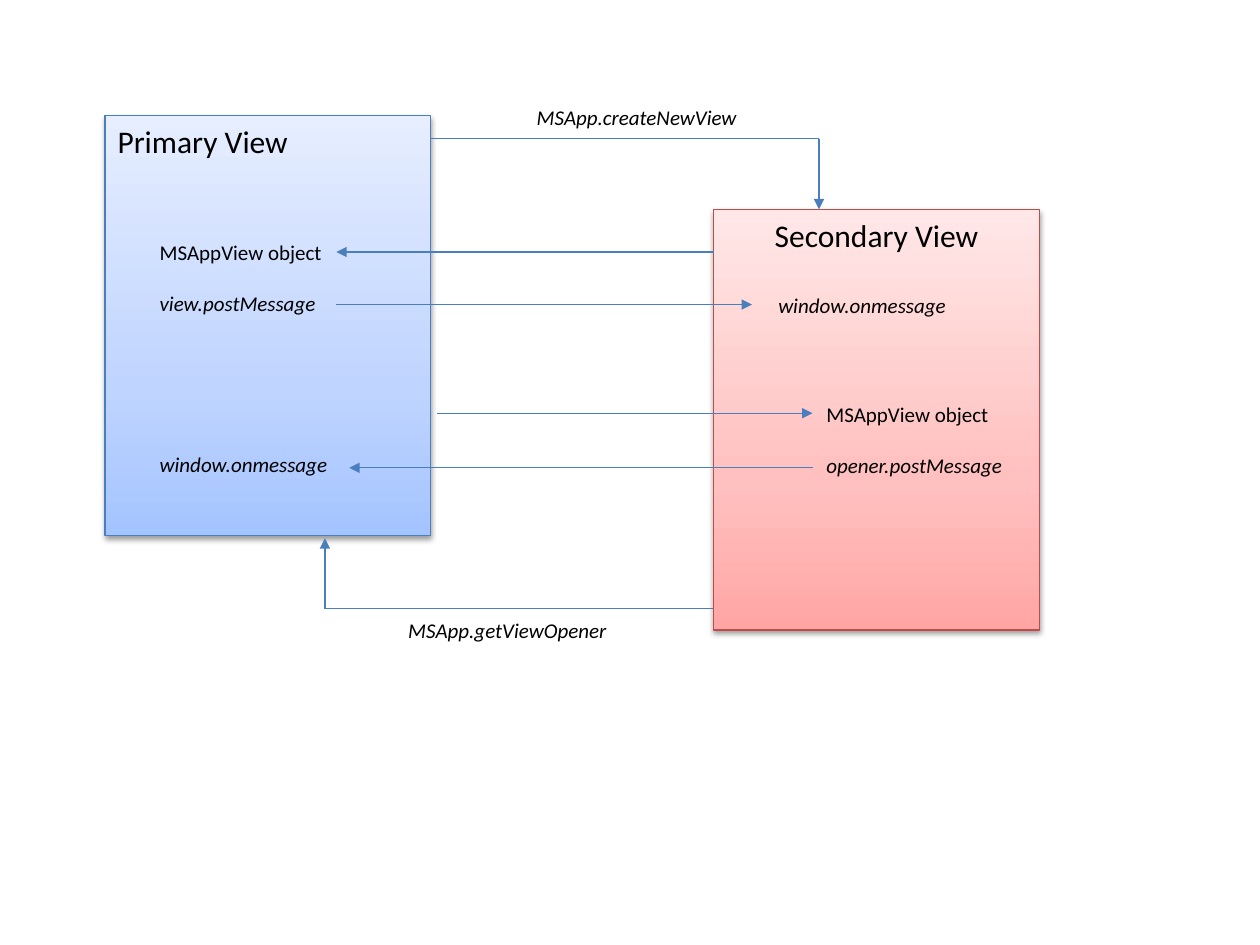
from copy import deepcopy
from dataclasses import dataclass

from lxml.etree import SubElement
from pptx import Presentation
from pptx.dml.color import RGBColor
from pptx.enum.shapes import MSO_CONNECTOR, MSO_SHAPE
from pptx.enum.text import MSO_AUTO_SIZE, PP_ALIGN
from pptx.oxml.ns import qn
from pptx.util import Cm, Pt


@dataclass(frozen=True)
class Theme:
    font: str = "Calibri"
    heading_size: int = 18
    label_size: int = 12
    text: str = "000000"
    connector: str = "4B7EBC"
    primary_line: str = "4B7EBC"
    primary_fill: tuple = ("A4C4FF", "BFD4FF", "E6EEFF")
    secondary_line: str = "BF4C48"
    secondary_fill: tuple = ("FFA6A5", "FFC0BF", "FFE7E7")
    line_width: float = 0.75


theme = Theme()
VIEW_WIDTH, VIEW_HEIGHT = 6.56, 8.47
PRIMARY_LEFT, PRIMARY_TOP = 2.12, 2.33
SECONDARY_LEFT, SECONDARY_TOP = 14.39, 4.23

presentation = Presentation()
presentation.slide_width = Cm(25.4)
presentation.slide_height = Cm(19.05)
slide = presentation.slides.add_slide(presentation.slide_layouts[6])


def add_text(left, top, width, height, lines, size, wrap=False, align=PP_ALIGN.LEFT):
    """Add a text box; lines holds (text, italic) pairs, one paragraph each."""
    box = slide.shapes.add_textbox(Cm(left), Cm(top), Cm(width), Cm(height))
    frame = box.text_frame
    frame.word_wrap = wrap
    frame.auto_size = MSO_AUTO_SIZE.SHAPE_TO_FIT_TEXT
    for index, (text, italic) in enumerate(lines):
        paragraph = frame.add_paragraph() if index else frame.paragraphs[0]
        paragraph.alignment = align
        if index:
            paragraph.space_before = Pt(14.6)
        run = paragraph.add_run()
        run.text = text
        run.font.name = theme.font
        run.font.size = Pt(size)
        run.font.italic = italic
        run.font.color.rgb = RGBColor.from_string(theme.text)


def add_line(start, end, arrow):
    """Add a straight connector, with an arrowhead at its end if asked."""
    connector = slide.shapes.add_connector(
        MSO_CONNECTOR.STRAIGHT, *(Cm(value) for value in start + end))
    connector.line.color.rgb = RGBColor.from_string(theme.connector)
    connector.line.width = Pt(theme.line_width)
    properties = connector._element.spPr
    if arrow:
        SubElement(properties.find(qn("a:ln")), qn("a:tailEnd"), type="triangle")
    SubElement(properties, qn("a:effectLst"))


# View panels: gradient fill and soft shadow below
for left, top, colors, line_color in (
    (PRIMARY_LEFT, PRIMARY_TOP, theme.primary_fill, theme.primary_line),
    (SECONDARY_LEFT, SECONDARY_TOP, theme.secondary_fill, theme.secondary_line),
):
    panel = slide.shapes.add_shape(
        MSO_SHAPE.RECTANGLE, Cm(left), Cm(top), Cm(VIEW_WIDTH), Cm(VIEW_HEIGHT))
    panel.line.color.rgb = RGBColor.from_string(line_color)
    panel.line.width = Pt(theme.line_width)
    panel.fill.gradient()
    panel.fill.gradient_angle = 90
    properties = panel._element.spPr
    stop_list = properties.find(qn("a:gradFill")).find(qn("a:gsLst"))
    stop_list.insert(1, deepcopy(stop_list[0]))
    for stop, position, color in zip(panel.fill.gradient_stops, (0, 0.35, 1), colors):
        stop.position = position
        stop.color.rgb = RGBColor.from_string(color)
    panel.shadow.inherit = False
    shadow = SubElement(properties.find(qn("a:effectLst")), qn("a:outerShdw"),
                        blurRad=str(Pt(3.1)), dist=str(Pt(1.6)),
                        dir="5400000", rotWithShape="0")
    shadow_color = SubElement(shadow, qn("a:srgbClr"), val=theme.text)
    SubElement(shadow_color, qn("a:alpha"), val="38000")

# Panel headings
for left, top, heading, align in (
    (PRIMARY_LEFT, PRIMARY_TOP, "Primary View", PP_ALIGN.LEFT),
    (SECONDARY_LEFT, SECONDARY_TOP, "Secondary View", PP_ALIGN.CENTER),
):
    add_text(left, top, VIEW_WIDTH, 1.03, [(heading, False)],
             theme.heading_size, wrap=True, align=align)

# Calls, objects and message handlers
for left, top, width, height, lines in (
    (10.57, 1.98, 4.62, 0.77, [("MSApp.createNewView", True)]),
    (2.97, 4.7, 3.81, 1.8, [("MSAppView object", False), ("view.postMessage", True)]),
    (15.44, 5.77, 3.94, 0.77, [("window.onmessage", True)]),
    (7.98, 12.32, 4.55, 0.77, [("MSApp.getViewOpener", True)]),
    (16.41, 7.98, 4.06, 1.8, [("MSAppView object", False), ("opener.postMessage", True)]),
    (2.97, 8.97, 3.94, 0.77, [("window.onmessage", True)]),
):
    add_text(left, top, width, height, lines, theme.label_size)

# Connectors between the views
for start, end, arrow in (
    ((16.51, 2.8), (16.51, 4.22), True),    # create the new view
    ((16.51, 2.8), (8.69, 2.8), False),
    ((14.39, 5.08), (6.78, 5.08), True),    # view object returned
    ((6.78, 6.14), (15.16, 6.14), True),    # message to secondary view
    ((8.81, 8.33), (16.38, 8.33), True),    # opener object returned
    ((16.38, 9.43), (7.04, 9.43), True),    # message to primary view
    ((6.55, 12.27), (6.55, 10.85), True),   # get the opener
    ((6.55, 12.27), (14.38, 12.27), False),
):
    add_line(start, end, arrow)

presentation.save("out.pptx")
